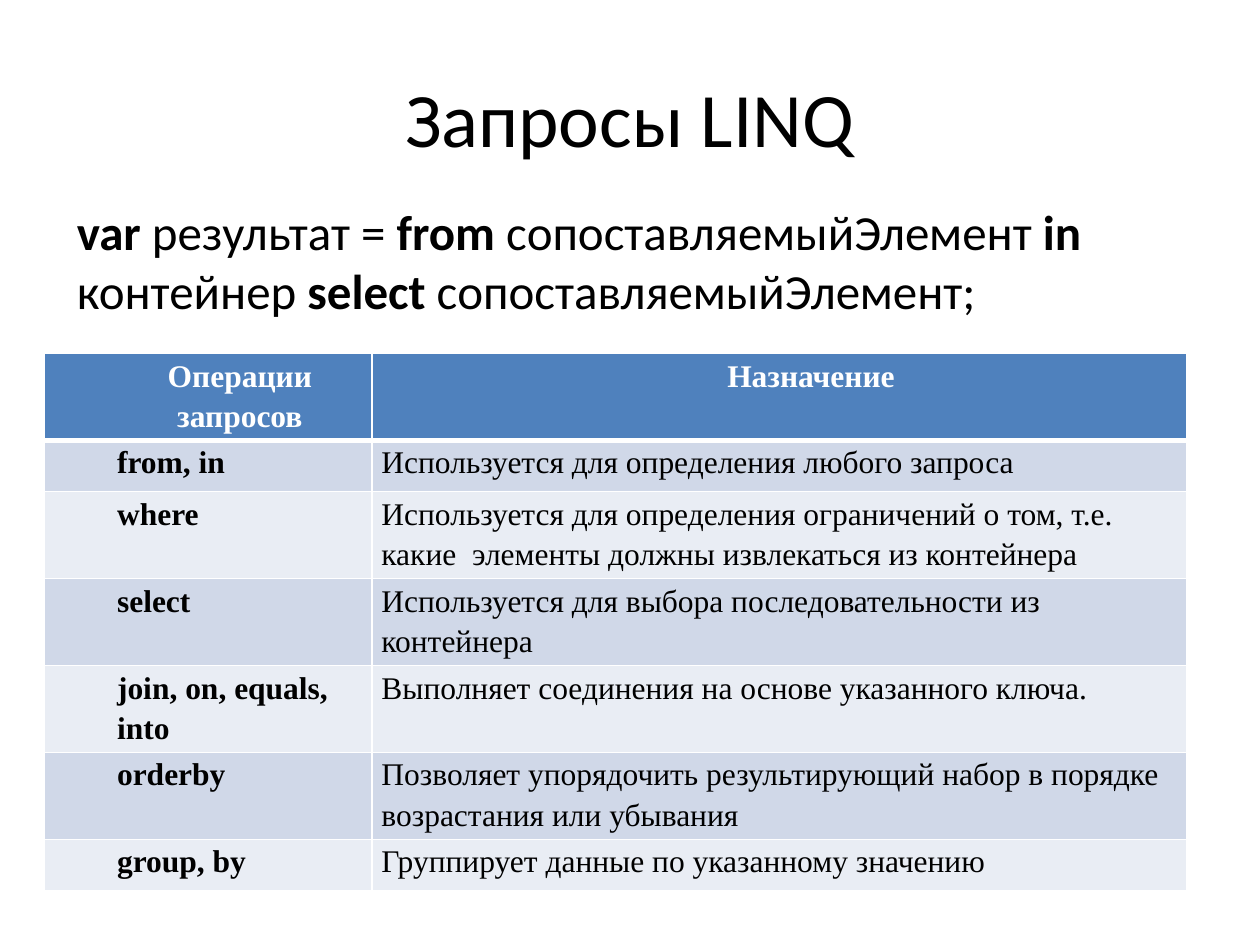
from lxml.etree import SubElement
from pptx import Presentation
from pptx.dml.color import RGBColor
from pptx.enum.text import MSO_ANCHOR as Anchor, PP_ALIGN as Align
from pptx.oxml.ns import qn
from pptx.util import Cm, Pt

COLORS = {
    "text": "000000",
    "white": "FFFFFF",
    "header": "4F81BD",
    "odd": "D0D8E8",
    "even": "E9EDF4",
}
SANS, SERIF = "Calibri", "Times New Roman"

QUERY = [
    ("var", True),
    (" результат = ", False),
    ("from ", True),
    ("сопоставляемыйЭлемент ", False),
    ("in ", True),
    ("контейнер ", False),
    ("select ", True),
    ("сопоставляемыйЭлемент;", False),
]
OPERATIONS = [
    ("Операции запросов", "Назначение"),
    ("from, in", "Используется для определения любого запроса"),
    ("where", "Используется для определения ограничений о том, т.е. "
              "какие  элементы должны извлекаться из контейнера"),
    ("select", "Используется для выбора последовательности из контейнера"),
    ("join, on, equals, into", "Выполняет соединения на основе указанного ключа."),
    ("orderby", "Позволяет упорядочить результирующий набор в порядке "
                "возрастания или убывания"),
    ("group, by", "Группирует данные по указанному значению"),
]


def rgb(name):
    return RGBColor.from_string(COLORS[name])


def add_run(p, text, size, font, color="text", bold=False):
    r = p.add_run()
    r.text = text
    r.font.size = Pt(size)
    r.font.name = font
    r.font.bold = bold
    r.font.color.rgb = rgb(color)


def add_text(s, box, runs, size, align, anchor, before=0):
    tf = s.shapes.add_textbox(*map(Cm, box)).text_frame
    tf.word_wrap = True
    tf.vertical_anchor = anchor
    p = tf.paragraphs[0]
    p.alignment = align
    p.space_before = Pt(before)
    for text, bold in runs:
        add_run(p, text, size, SANS, bold=bold)


def set_borders(cell, widths):
    tcPr = cell._tc.get_or_add_tcPr()
    for side, width in zip("LRTB", widths):
        ln = SubElement(tcPr, qn(f"a:ln{side}"), w=str(Pt(width)))
        fill = SubElement(ln, qn("a:solidFill"))
        SubElement(fill, qn("a:srgbClr"), val=COLORS["white"])


def fill_cell(cell, text, row, col):
    header = row == 0
    set_borders(cell, (1, 1, 3 if row == 1 else 1, 3 if header else 1))
    cell.fill.solid()
    cell.fill.fore_color.rgb = rgb("header" if header else "odd" if row % 2 else "even")
    cell.margin_left = cell.margin_right = Cm(0.19)
    cell.margin_top = cell.margin_bottom = 0
    p = cell.text_frame.paragraphs[0]
    p.alignment = Align.CENTER if header else Align.LEFT
    p.line_spacing = 1.15
    if header or col == 0:
        p._p.get_or_add_pPr().set("marL", str(Cm(1.27)))
    add_run(p, text, 18, SERIF, "white" if header else "text", header or col == 0)


def add_operations(s, box, first_width, row_height):
    left, top, width = box
    height = row_height * len(OPERATIONS)
    table = s.shapes.add_table(len(OPERATIONS), 2, Cm(left), Cm(top),
                               Cm(width), Cm(height)).table
    table.columns[0].width = Cm(first_width)
    table.columns[1].width = Cm(width - first_width)
    for i, texts in enumerate(OPERATIONS):
        table.rows[i].height = Cm(row_height)
        for j, text in enumerate(texts):
            fill_cell(table.cell(i, j), text, i, j)


def main():
    prs = Presentation()
    prs.slide_width, prs.slide_height = Cm(25.4), Cm(19.05)
    s = prs.slides.add_slide(prs.slide_layouts[6])
    add_text(s, (1.27, 0.76, 22.86, 3.18), [("Запросы LINQ", False)], 44,
             Align.CENTER, Anchor.MIDDLE)
    add_text(s, (1.3, 3.94, 23.8, 2.69), QUERY, 28, Align.LEFT, Anchor.TOP, 5.6)
    add_operations(s, (0.9, 7.13, 23.03), 6.6, 1.03)
    prs.save("out.pptx")


if __name__ == "__main__":
    main()
